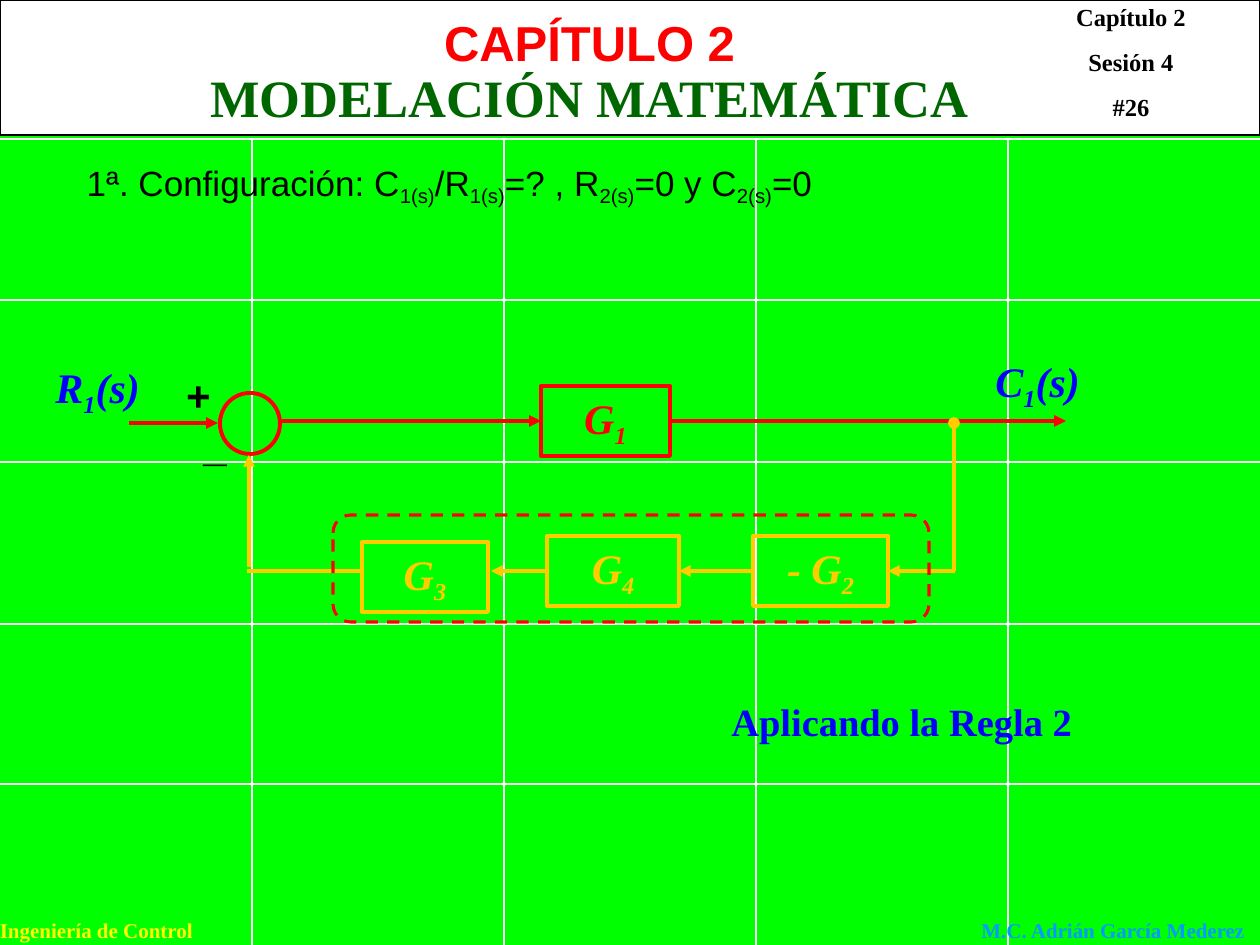
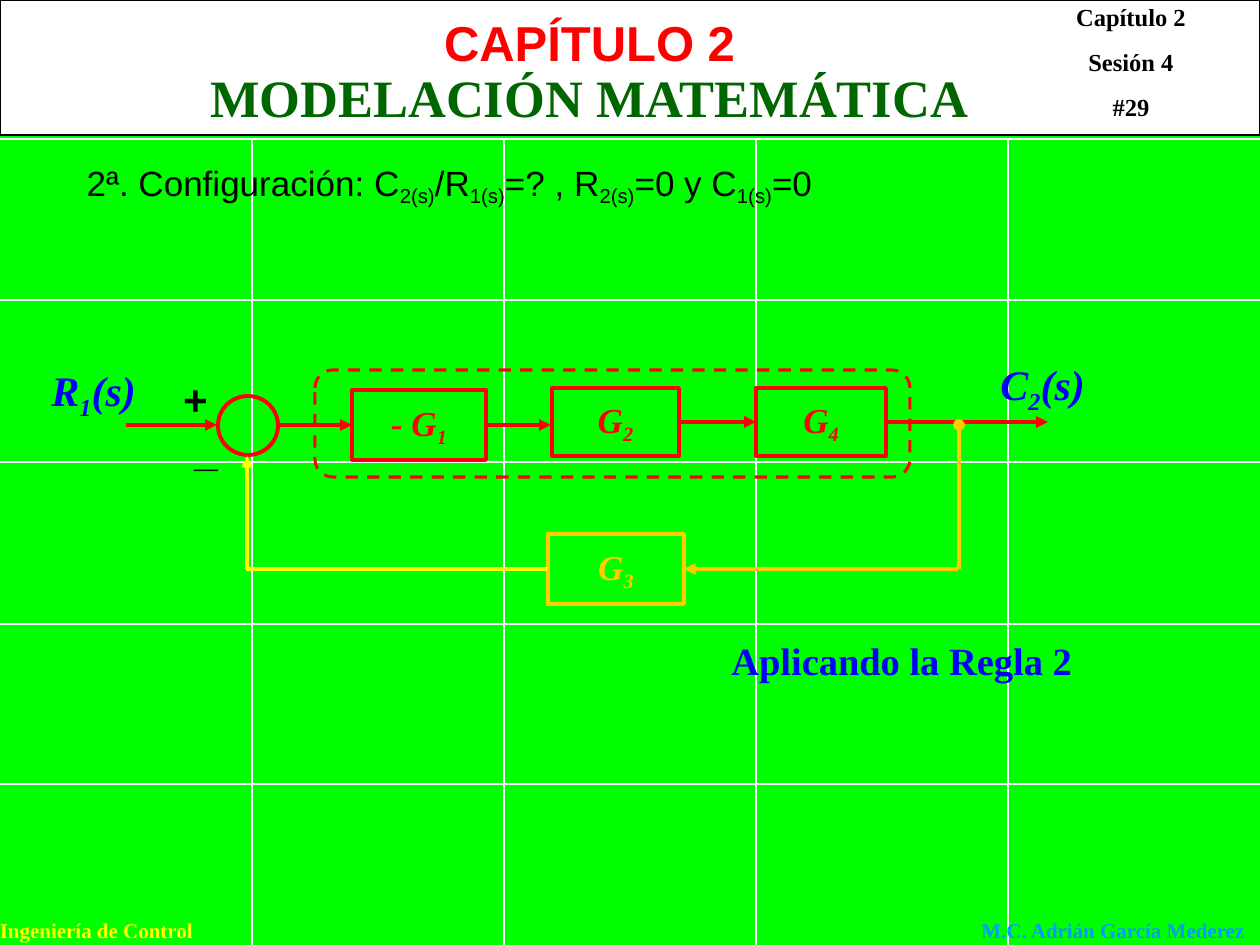
"""Build two slides on block-diagram reduction for a control engineering course."""
import pptx
import pptx.util
import pptx.dml.color
import pptx.enum.dml
import pptx.enum.shapes
import pptx.enum.text
import pptx.oxml.ns
import lxml.etree

EMU_PER_PX = 914400 / 126
COLORS = {
    "green": "00FF00", "white": "FFFFFF", "black": "000000", "red": "FF0000",
    "title": "006600", "blue": "0000FF", "gold": "FFCC00", "yellow": "FFFF00",
    "sky": "0099FF",
}
SERIF, SANS = "Times New Roman", "Arial"
SHAPES = pptx.enum.shapes.MSO_SHAPE
ALIGN = pptx.enum.text.PP_ALIGN
TOP, LEFT, BOTTOM, RIGHT = range(4)


def px(*lengths):
    return [pptx.util.Emu(round(n * EMU_PER_PX)) for n in lengths]


def rgb(name):
    return pptx.dml.color.RGBColor.from_string(COLORS[name])


def add_xml(parent, tag, **attrs):
    return lxml.etree.SubElement(parent, pptx.oxml.ns.qn(tag), attrs)


def write(tf, text, size=24, color="black", font=SERIF, bold=True, italic=False,
          align=ALIGN.LEFT, before=0, drop=-25, wrap=True, bullet=True):
    """Fill a frame: lines become paragraphs, text between ~ marks is subscript."""
    tf.word_wrap = wrap
    tf.auto_size = pptx.enum.text.MSO_AUTO_SIZE.NONE
    for i, line in enumerate(text.split("\n")):
        p = tf.add_paragraph() if i else tf.paragraphs[0]
        p.alignment = align
        p.space_before = pptx.util.Pt(before if i else 0)
        if not bullet:
            pPr = p._p.get_or_add_pPr()
            pPr.set("marL", "0")
            pPr.set("indent", "0")
            add_xml(pPr, "a:buNone")
        for j, part in enumerate(line.split("~")):
            if not part:
                continue
            r = p.add_run()
            r.text = part
            r.font.size = pptx.util.Pt(size)
            r.font.name = font
            r.font.bold = bold
            r.font.italic = italic
            r.font.color.rgb = rgb(color)
            if j % 2:
                r._r.get_or_add_rPr().set("baseline", str(drop * 1000))


class Deck:
    """Holds the presentation style and the slide being drawn."""

    def __init__(self):
        self.prs = pptx.Presentation()
        self.prs.slide_width, self.prs.slide_height = px(1260, 945)
        fill = self.prs.slide_master.background.fill
        fill.solid()
        fill.fore_color.rgb = rgb("green")
        self.s = None

    def slide(self, number, heading):
        self.s = self.prs.slides.add_slide(self.prs.slide_layouts[1])
        for x in range(252, 1260, 252):
            self.line((x, 139), (x, 945), "white", width=1)
        for y in (300, 462, 624, 784, 139):
            self.line((0, y), (1260, y), "white", width=1)
        self.shape(SHAPES.RECTANGLE, (0, 0, 1260, 135), "black", 0.75, fill="white")
        self.text((-15, 911, 223, 38), "Ingeniería de Control", size=12,
                  color="yellow", align=ALIGN.CENTER)
        self.text((969, 911, 290, 38), "M.C. Adrián García Mederez", size=12,
                  color="sky", wrap=False)
        self.text((1027, -4, 208, 132), f"Capítulo 2\nSesión 4\n#{number}", size=14,
                  align=ALIGN.CENTER, before=8.8)
        self.text((113, 6, 953, 72), "CAPÍTULO 2", size=28, color="red", font=SANS,
                  align=ALIGN.CENTER)
        self.placeholder(0, (113, 59, 953, 76), "MODELACIÓN MATEMÁTICA", size=30,
                         color="title", align=ALIGN.CENTER)
        self.placeholder(1, (74, 155, 794, 60), heading, size=20, font=SANS,
                         bold=False, drop=-20, bullet=False)

    def placeholder(self, idx, at, text, **fmt):
        sp = self.s.placeholders[idx]
        sp.left, sp.top, sp.width, sp.height = px(*at)
        sp.text_frame.vertical_anchor = pptx.enum.text.MSO_ANCHOR.TOP
        write(sp.text_frame, text, **fmt)
        sp.element.getparent().append(sp.element)

    def text(self, at, text, **fmt):
        write(self.s.shapes.add_textbox(*px(*at)).text_frame, text, **fmt)

    def shape(self, kind, at, color, width=2.25, fill=None):
        sp = self.s.shapes.add_shape(kind, *px(*at))
        sp.shadow.inherit = False
        if fill:
            sp.fill.solid()
            sp.fill.fore_color.rgb = rgb(fill)
        else:
            sp.fill.background()
        sp.line.color.rgb = rgb(color)
        sp.line.width = pptx.util.Pt(width)
        return sp

    def block(self, at, label, color, size=24):
        sp = self.shape(SHAPES.RECTANGLE, at, color)
        write(sp.text_frame, label, size=size, color=color, italic=True,
              align=ALIGN.CENTER)
        return sp

    def summing_point(self, at):
        self.shape(SHAPES.OVAL, at, "red")

    def group_outline(self, at):
        sp = self.shape(SHAPES.ROUNDED_RECTANGLE, at, "red", 1.75)
        sp.line.dash_style = pptx.enum.dml.MSO_LINE.DASH

    def signal(self, at, label):
        self.text(at, label, color="blue", italic=True)

    def sign(self, x, y, mark):
        self.text((x, y, 60, 63), mark, font=SANS, italic=True)

    def rule_note(self, y):
        self.text((719, y, 427, 59), "Aplicando la Regla 2", size=22, color="blue")

    def line(self, start, stop, color, tail=None, width=2.25, begin=None, end=None):
        c = self.s.shapes.add_connector(pptx.enum.shapes.MSO_CONNECTOR.STRAIGHT,
                                        *px(*start, *stop))
        if begin:
            c.begin_connect(*begin)
        if end:
            c.end_connect(*end)
        c.line.color.rgb = rgb(color)
        c.line.width = pptx.util.Pt(width)
        if tail:
            add_xml(c.line._get_or_add_ln(), "a:tailEnd", type=tail)
        add_xml(c._element.spPr, "a:effectLst")

    def arrow(self, start, stop, color, **joins):
        self.line(start, stop, color, "triangle", **joins)


def first_configuration(d):
    d.slide(26, "1ª. Configuración: C~1(s)~/R~1(s)~=? , R~2(s)~=0 y C~2(s)~=0")
    d.block((362, 542, 126, 70), "G~3~", "gold")
    g1 = d.block((541, 386, 129, 70), "G~1~", "red")
    d.summing_point((220, 393, 60, 61))
    g4 = d.block((547, 536, 132, 70), "G~4~", "gold")
    g2 = d.block((753, 536, 135, 70), "- G~2~", "gold")
    d.arrow((129, 423), (218, 423), "red")
    d.arrow((282, 421), (541, 421), "red", end=(g1, LEFT))
    d.arrow((670, 421), (1066, 421), "red", begin=(g1, RIGHT))
    d.arrow((955, 571), (888, 571), "gold", end=(g2, RIGHT))
    d.arrow((753, 571), (679, 571), "gold", begin=(g2, LEFT), end=(g4, RIGHT))
    d.arrow((547, 571), (491, 571), "gold", begin=(g4, LEFT))
    d.line((362, 571), (247, 571), "gold")
    d.arrow((249, 567), (249, 455), "gold")
    d.line((954, 571), (954, 423), "gold", "oval")
    d.signal((43, 355, 159, 77), "R~1~(s)")
    d.signal((983, 349, 141, 74), "C~1~(s)")
    d.sign(173, 363, "+")
    d.sign(193, 413, "_")
    d.rule_note(692)
    d.group_outline((333, 515, 596, 107))


def second_configuration(d):
    d.slide(29, "2ª. Configuración: C~2(s)~/R~1(s)~=? , R~2(s)~=0 y C~1(s)~=0")
    d.rule_note(631)
    d.group_outline((315, 370, 595, 107))
    g2 = d.block((552, 388, 127, 68), "G~2~", "red", 20)
    g4 = d.block((756, 388, 130, 68), "G~4~", "red", 20)
    d.summing_point((218, 396, 60, 59))
    g1 = d.block((352, 390, 134, 70), "- G~1~", "red", 20)
    g3 = d.block((548, 534, 136, 70), "G~3~", "gold", 20)
    d.arrow((126, 425), (217, 425), "red")
    d.arrow((278, 425), (352, 425), "red", end=(g1, LEFT))
    d.arrow((486, 425), (551, 425), "red", begin=(g1, RIGHT))
    d.arrow((679, 422), (756, 422), "red", begin=(g2, RIGHT), end=(g4, LEFT))
    d.arrow((886, 422), (1048, 422), "red", begin=(g4, RIGHT))
    d.arrow((958, 569), (684, 569), "gold", end=(g3, RIGHT))
    d.line((548, 569), (246, 569), "yellow", begin=(g3, LEFT))
    d.arrow((247, 569), (247, 456), "yellow")
    d.line((959, 569), (959, 425), "gold", "oval")
    d.signal((39, 358, 160, 76), "R~1~(s)")
    d.signal((988, 352, 142, 73), "C~2~(s)")
    d.sign(184, 418, "_")
    d.sign(170, 367, "+")


def main():
    d = Deck()
    first_configuration(d)
    second_configuration(d)
    d.prs.save("out.pptx")


if __name__ == "__main__":
    main()
